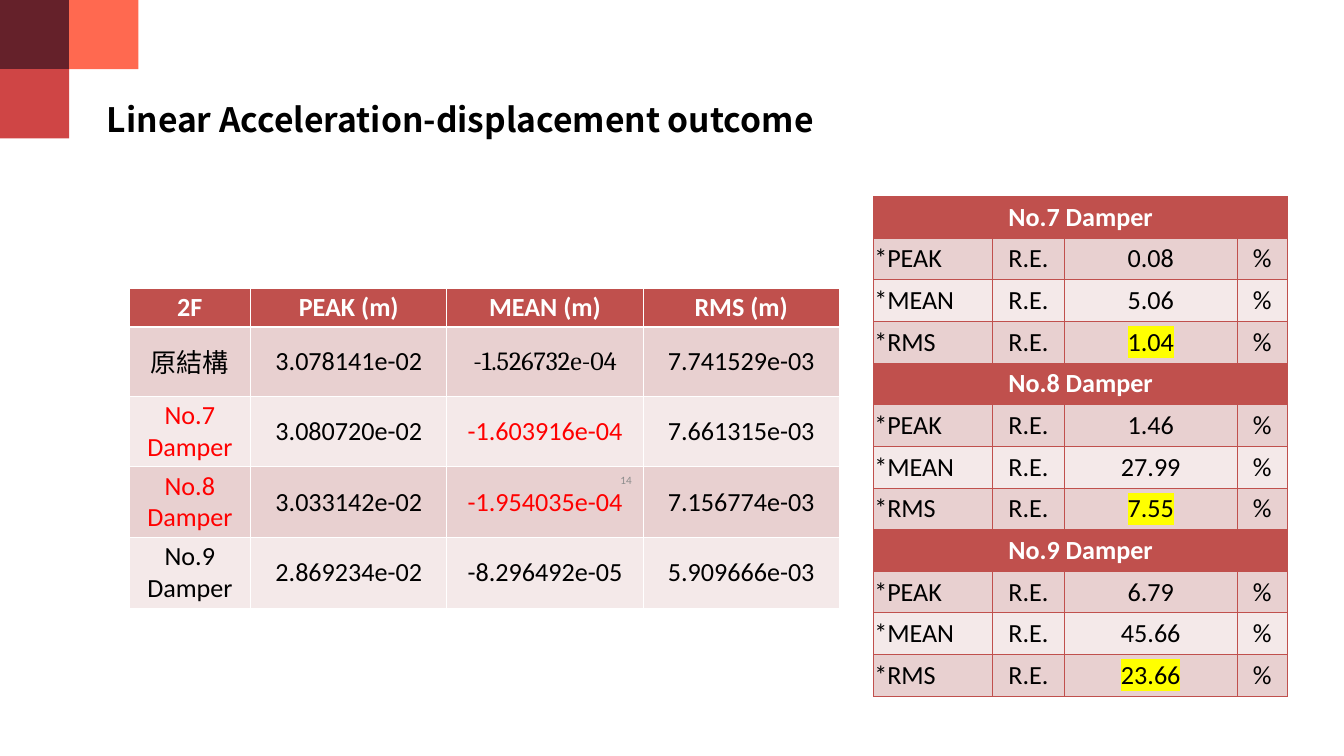
from dataclasses import dataclass

from lxml import etree
from pptx import Presentation
from pptx.dml.color import RGBColor
from pptx.enum.shapes import MSO_SHAPE
from pptx.enum.text import MSO_ANCHOR, MSO_AUTO_SIZE, PP_ALIGN
from pptx.oxml.ns import qn
from pptx.util import Inches, Pt

RECTANGLE = MSO_SHAPE.RECTANGLE
MIDDLE = MSO_ANCHOR.MIDDLE
NO_AUTOSIZE = MSO_AUTO_SIZE.NONE
LEFT, CENTER, RIGHT = PP_ALIGN.LEFT, PP_ALIGN.CENTER, PP_ALIGN.RIGHT


@dataclass(frozen=True)
class Theme:
    text: str = "000000"
    white: str = "FFFFFF"
    alert: str = "FF0000"
    highlight: str = "FFFF00"
    muted: str = "8C8C8C"
    header: str = "C0504D"
    bands: tuple = ("E8D0D0", "F4E9E9")
    corner: tuple = ("65212A", "CF4545", "FF6950")
    font: str = "Calibri"
    serif: str = "Cambria"
    cjk: str = "Noto Sans CJK SC"
    title_size: int = 36
    table_size: int = 28
    number_size: int = 12


theme = Theme()


def format_text(frame, size, color, font=theme.font, bold=False, align=CENTER):
    paragraph = frame.paragraphs[0]
    paragraph.alignment = align
    run = paragraph.runs[0]
    run.font.size = Pt(size)
    run.font.bold = bold
    run.font.color.rgb = RGBColor.from_string(color)
    run.font.name = font
    latin = run.font._element.find(qn("a:latin"))
    east_asian = etree.Element(qn("a:ea"), typeface=font)
    latin.addnext(east_asian)
    return run


def fill_cell(cell, fill, border, widths):
    cell.vertical_anchor = MIDDLE
    cell.fill.solid()
    cell.fill.fore_color.rgb = RGBColor.from_string(fill)
    properties = cell._tc.get_or_add_tcPr()
    for position, (side, width) in enumerate(zip("LRTB", widths)):
        line = etree.Element(qn(f"a:ln{side}"), w=str(Pt(width)))
        solid = etree.SubElement(line, qn("a:solidFill"))
        etree.SubElement(solid, qn("a:srgbClr"), val=border)
        properties.insert(position, line)


prs = Presentation()
prs.slide_width = Inches(20)
prs.slide_height = Inches(11.25)
slide = prs.slides.add_slide(prs.slide_layouts[5])

title = slide.shapes.title
title.left, title.top = Inches(1.59), Inches(1.47)
title.width, title.height = Inches(10.85), Inches(0.61)
heading = title.text_frame
heading.text = "Linear Acceleration-displacement outcome"
heading.margin_left = heading.margin_right = heading.margin_top = heading.margin_bottom = 0
heading.auto_size = NO_AUTOSIZE
heading.vertical_anchor = MIDDLE
format_text(heading, theme.title_size, theme.text, theme.cjk, True, LEFT)

square = 1.03
for (column, row), color in zip([(0, 0), (0, 1), (1, 0)], theme.corner):
    tile = slide.shapes.add_shape(
        RECTANGLE, Inches(column * square), Inches(row * square), Inches(square), Inches(square)
    )
    tile.shadow.inherit = False
    tile.fill.solid()
    tile.fill.fore_color.rgb = RGBColor.from_string(color)
    tile.line.fill.background()

errors = {
    "No.7 Damper": ("0.08", "5.06", "1.04"),
    "No.8 Damper": ("1.46", "27.99", "7.55"),
    "No.9 Damper": ("6.79", "45.66", "23.66"),
}
error_rows = []
for damper, values in errors.items():
    error_rows.append((damper, "", "", ""))
    for measure, value in zip(("*PEAK", "*MEAN", "*RMS"), values):
        error_rows.append((measure, "R.E.", value, "%"))

error_table = slide.shapes.add_table(
    len(error_rows), 4, Inches(13), Inches(2.92), Inches(6.16), Inches(7.44)
).table
error_table.first_row = error_table.horz_banding = False
for column, width in zip(error_table.columns, (1.77, 1.07, 2.57, 0.75)):
    column.width = Inches(width)
for r, row in enumerate(error_rows):
    error_table.rows[r].height = Inches(0.62)
    is_header = r % 4 == 0
    for c, value in enumerate(row):
        cell = error_table.cell(r, c)
        cell.margin_left = cell.margin_right = cell.margin_top = Inches(0.01)
        cell.margin_bottom = 0
        fill = theme.header if is_header else theme.bands[(r % 4 - 1) % 2]
        fill_cell(cell, fill, theme.header, [0.5] * 4)
        if not value:
            continue
        cell.text_frame.text = value
        color = theme.white if is_header else theme.text
        align = LEFT if c == 0 and not is_header else CENTER
        run = format_text(cell.text_frame, theme.table_size, color, bold=is_header, align=align)
        if row[0] == "*RMS" and c == 2:
            highlight = etree.Element(qn("a:highlight"))
            etree.SubElement(highlight, qn("a:srgbClr"), val=theme.highlight)
            run.font._element.find(qn("a:solidFill")).addnext(highlight)
    if is_header:
        error_table.cell(r, 0).merge(error_table.cell(r, 3))

responses = [
    ("2F", "PEAK (m)", "MEAN (m)", "RMS (m)"),
    ("原結構", "3.078141e-02", "-1.526732e-04", "7.741529e-03"),
    ("No.7 Damper", "3.080720e-02", "-1.603916e-04", "7.661315e-03"),
    ("No.8 Damper", "3.033142e-02", "-1.954035e-04", "7.156774e-03"),
    ("No.9 Damper", "2.869234e-02", "-8.296492e-05", "5.909666e-03"),
]
alerts = {(2, 0), (2, 2), (3, 0), (3, 2)}
special_fonts = {(1, 0): theme.cjk, (1, 2): theme.serif}
response_table = slide.shapes.add_table(
    len(responses), 4, Inches(1.92), Inches(4.29), Inches(10.57), Inches(4.69)
).table
response_table.first_row = response_table.horz_banding = False
for column, width in zip(response_table.columns, (1.81, 2.92, 2.92, 2.92)):
    column.width = Inches(width)
for r, row in enumerate(responses):
    is_header = r == 0
    response_table.rows[r].height = Inches(0.57 if is_header else 1.03)
    for c, value in enumerate(row):
        cell = response_table.cell(r, c)
        fill = theme.header if is_header else theme.bands[(r - 1) % 2]
        fill_cell(cell, fill, theme.white, (1, 1, 3 if r == 1 else 1, 3 if is_header else 1))
        cell.text_frame.text = value
        color = theme.white if is_header else theme.alert if (r, c) in alerts else theme.text
        font = special_fonts.get((r, c), theme.font)
        format_text(cell.text_frame, theme.table_size, color, font, is_header)

page_number = slide.shapes.add_textbox(Inches(7.17), Inches(6.95), Inches(2.33), Inches(0.4)).text_frame
page_number.word_wrap = True
page_number.vertical_anchor = MIDDLE
page_number.text = "14"
format_text(page_number, theme.number_size, theme.muted, align=RIGHT)

prs.save("out.pptx")
